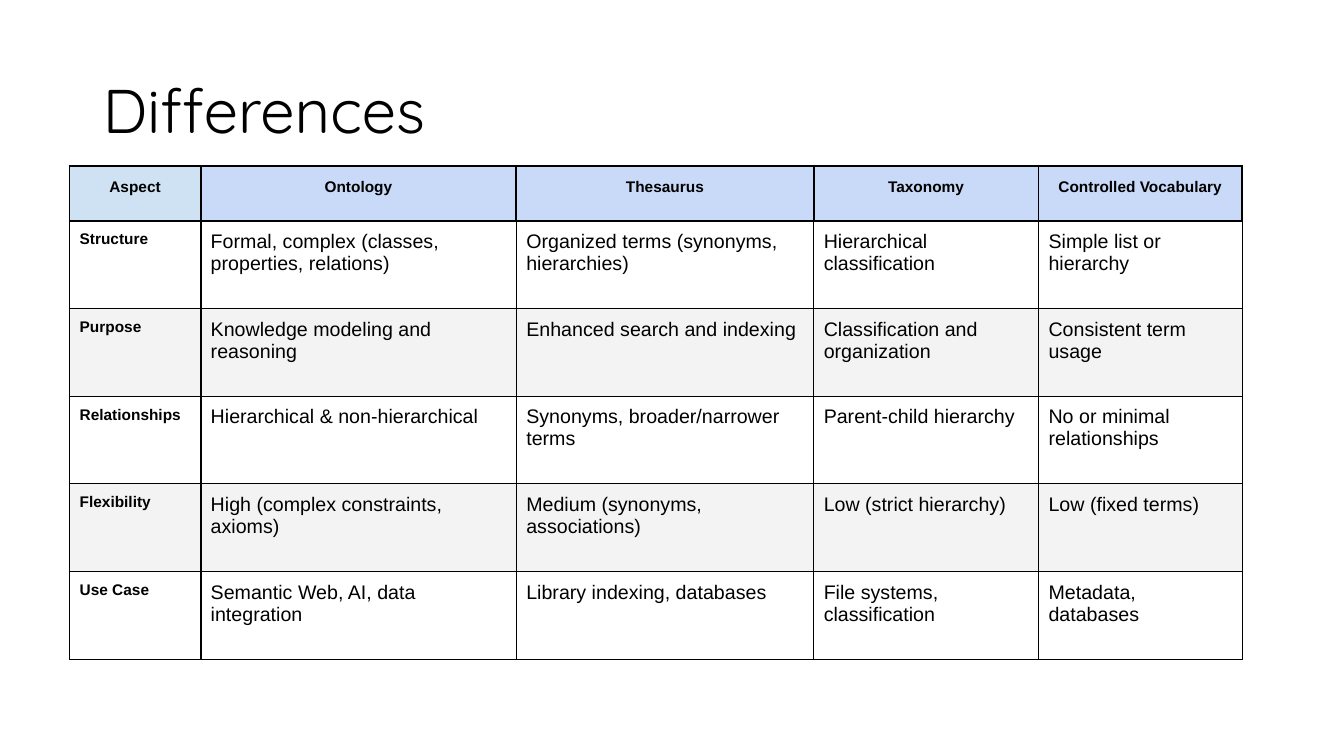
from pptx import Presentation
from pptx.dml.color import RGBColor
from pptx.enum.text import MSO_ANCHOR, MSO_AUTO_SIZE, PP_ALIGN
from pptx.oxml import parse_xml
from pptx.oxml.ns import nsdecls
from pptx.util import Inches, Pt

COLORS = {"ink": "000000", "corner": "CFE2F3", "header": "C9DAF8", "band": "F3F3F3"}
THIN, THICK = 0.75, 1.5
COLS = [1.3, 3.13, 2.95, 2.23, 2.02]
HEADER_H, ROW_H = 0.54, 0.87

ROWS = [
    ["Aspect", "Ontology", "Thesaurus", "Taxonomy", "Controlled Vocabulary"],
    ["Structure", "Formal, complex (classes, properties, relations)",
     "Organized terms (synonyms, hierarchies)", "Hierarchical classification",
     "Simple list or hierarchy"],
    ["Purpose", "Knowledge modeling and reasoning", "Enhanced search and indexing",
     "Classification and organization", "Consistent term usage"],
    ["Relationships", "Hierarchical & non-hierarchical",
     "Synonyms, broader/narrower terms", "Parent-child hierarchy",
     "No or minimal relationships"],
    ["Flexibility", "High (complex constraints, axioms)",
     "Medium (synonyms, associations)", "Low (strict hierarchy)", "Low (fixed terms)"],
    ["Use Case", "Semantic Web, AI, data integration", "Library indexing, databases",
     "File systems, classification", "Metadata, databases"],
]


def set_attrs(obj, values):
    for name, value in values.items():
        setattr(obj, name, value)


def format_font(font, name, size, bold=False):
    set_attrs(font, {"name": name, "size": Pt(size), "bold": bold})
    font.color.rgb = RGBColor.from_string(COLORS["ink"])


def add_title(s, text, left, top, width, height):
    title = s.shapes.title
    set_attrs(title, {"left": Inches(left), "top": Inches(top),
                      "width": Inches(width), "height": Inches(height)})
    tf = title.text_frame
    set_attrs(tf, {"text": text, "word_wrap": True, "auto_size": MSO_AUTO_SIZE.NONE,
                   "vertical_anchor": MSO_ANCHOR.MIDDLE})
    p = tf.paragraphs[0]
    set_attrs(p, {"alignment": PP_ALIGN.LEFT, "line_spacing": 0.9})
    format_font(p.runs[0].font, "Quicksand", 44)


def set_borders(cell, widths):
    """Draw the four edges; they come before the fill in the cell properties."""
    tcPr = cell._tc.get_or_add_tcPr()
    for i, (side, width) in enumerate(widths.items()):
        tcPr.insert(i, parse_xml(
            f'<a:ln{side} {nsdecls("a")} w="{Pt(width)}"><a:solidFill>'
            f'<a:srgbClr val="{COLORS["ink"]}"/></a:solidFill></a:ln{side}>'))


def format_cell(cell, text, row, col):
    header, label = row == 0, col == 0
    inset = Inches(0.1)
    set_attrs(cell, {"text": text, "vertical_anchor": MSO_ANCHOR.TOP,
                     "margin_left": inset, "margin_right": inset,
                     "margin_top": inset, "margin_bottom": inset})
    p = cell.text_frame.paragraphs[0]
    if header:
        set_attrs(p, {"alignment": PP_ALIGN.CENTER, "line_spacing": 1.15})
    strong = header or label
    format_font(p.runs[0].font, "Arial", 11 if strong else 14, strong)

    # Header colours, then a tint on every second body row
    if header or row % 2 == 0:
        color = ("corner" if label else "header") if header else "band"
        cell.fill.solid()
        cell.fill.fore_color.rgb = RGBColor.from_string(COLORS[color])
    else:
        cell.fill.background()

    # Heavy lines around the header cells and right of the label column
    set_borders(cell, {"L": THICK if header or col == 1 else THIN,
                       "R": THICK if header or label else THIN,
                       "T": THICK if row <= 1 else THIN,
                       "B": THICK if header else THIN})


def add_comparison(s, rows, left, top):
    heights = [HEADER_H] + [ROW_H] * (len(rows) - 1)
    frame = s.shapes.add_table(len(rows), len(COLS), Inches(left), Inches(top),
                               Inches(sum(COLS)), Inches(sum(heights)))
    table = frame.table
    set_attrs(table, {"first_row": False, "horz_banding": False})
    for column, width in zip(table.columns, COLS):
        column.width = Inches(width)
    for table_row, height in zip(table.rows, heights):
        table_row.height = Inches(height)
    for i, row in enumerate(rows):
        for j, text in enumerate(row):
            format_cell(table.cell(i, j), text, i, j)


def main():
    prs = Presentation()
    set_attrs(prs, {"slide_width": Inches(13.33), "slide_height": Inches(7.5)})
    s = prs.slides.add_slide(prs.slide_layouts[5])
    add_title(s, "Differences", 0.92, 0.4, 11.5, 1.45)
    add_comparison(s, ROWS, 0.69, 1.65)
    prs.save("out.pptx")


if __name__ == "__main__":
    main()
